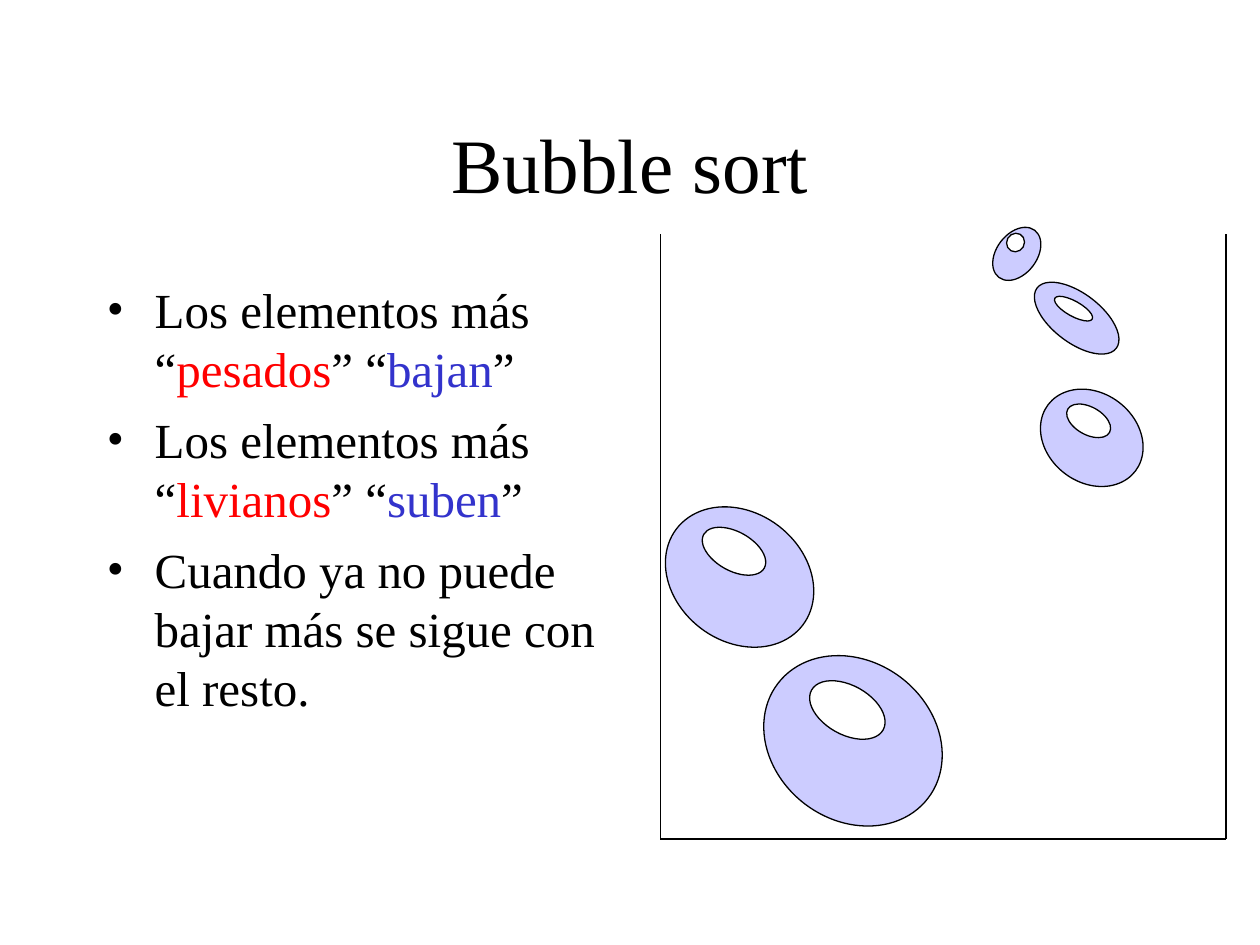
"""Build the Bubble sort slide with its bullets and a tank of bubbles."""
import pptx
import pptx.dml.color
import pptx.enum.shapes
import pptx.enum.text
import pptx.oxml
import pptx.util
from pptx.dml.color import RGBColor
from pptx.util import Inches

BLACK = RGBColor(0x00, 0x00, 0x00)
WHITE = RGBColor(0xFF, 0xFF, 0xFF)
RED = RGBColor(0xFF, 0x00, 0x00)
BLUE = RGBColor(0x33, 0x33, 0xCC)
LAVENDER = RGBColor(0xCC, 0xCC, 0xFF)
FONT = "Times New Roman"

TITLE = [[("Bubble sort", BLACK)]]
BULLETS = [
    [("Los elementos más “", BLACK), ("pesados", RED), ("” “", BLACK),
     ("bajan", BLUE), ("”", BLACK)],
    [("Los elementos más “", BLACK), ("livianos", RED), ("” “", BLACK),
     ("suben", BLUE), ("”", BLACK)],
    [("Cuando ya no puede bajar más se sigue con el resto.", BLACK)],
]
TITLE_BOX = (0.75, 0.67, 8.5, 1.25)
BULLET_BOX = (0.75, 2.17, 4.17, 4.5)
TANK_BOX = (5.24, 1.78, 4.49, 4.88)
TANK_CORNERS = [(5.24, 1.86), (5.24, 6.66), (9.73, 6.66), (9.73, 1.86)]
BUBBLES = [
    {"body": (5.24, 4.07, 1.26, 1.02), "shine": (5.55, 4.22, 0.55, 0.31)},
    {"body": (6.02, 5.25, 1.5, 1.26), "shine": (6.4, 5.44, 0.65, 0.39)},
    {"body": (8.15, 2.33, 0.79, 0.39), "shine": (8.35, 2.39, 0.34, 0.12)},
    {"body": (7.91, 1.78, 0.32, 0.47), "shine": (7.99, 1.85, 0.14, 0.15)},
    {"body": (8.23, 3.12, 0.87, 0.71), "shine": (8.45, 3.23, 0.38, 0.22)},
]
BUBBLE_STYLE = {"body": (LAVENDER, 37.3), "shine": (WHITE, 29.1)}


def inches(values):
    return [Inches(value) for value in values]


def add_bullet(paragraph):
    properties = paragraph._p.get_or_add_pPr()
    properties.set("marL", str(Inches(0.38)))
    properties.set("indent", str(-Inches(0.38)))
    namespace = pptx.oxml.ns.nsdecls("a")
    for xml in (f'<a:buClr {namespace}><a:srgbClr val="{BLACK}"/></a:buClr>',
                f'<a:buFont {namespace} typeface="{FONT}"/>',
                f'<a:buChar {namespace} char="•"/>'):
        properties.append(pptx.oxml.parse_xml(xml))


def write_text(shape, paragraphs, size, anchor, align, space_before=0, bullet=False):
    frame = shape.text_frame
    frame.word_wrap = True
    frame.auto_size = pptx.enum.text.MSO_AUTO_SIZE.NONE
    frame.vertical_anchor = anchor
    frame.margin_left = frame.margin_right = Inches(0.1)
    frame.margin_top = frame.margin_bottom = Inches(0.05)
    for index, runs in enumerate(paragraphs):
        paragraph = frame.add_paragraph() if index else frame.paragraphs[0]
        paragraph.alignment = align
        paragraph.line_spacing = 1.0
        paragraph.space_before = pptx.util.Pt(space_before)
        if bullet:
            add_bullet(paragraph)
        for text, color in runs:
            run = paragraph.add_run()
            run.text = text
            run.font.name = FONT
            run.font.size = pptx.util.Pt(size)
            run.font.color.rgb = color


def set_line(line):
    line.color.rgb = BLACK
    line.width = pptx.util.Pt(0.75)


def add_filled(shapes, kind, box, color, rotation=0, outlined=True):
    shape = shapes.add_shape(kind, *inches(box))
    shape.shadow.inherit = False
    shape.rotation = rotation
    shape.fill.solid()
    shape.fill.fore_color.rgb = color
    if outlined:
        set_line(shape.line)
    else:
        shape.line.fill.background()


def add_wall(shapes, start, end):
    wall = shapes.add_connector(pptx.enum.shapes.MSO_CONNECTOR.STRAIGHT,
                                *inches(start + end))
    set_line(wall.line)
    effects = f'<a:effectLst {pptx.oxml.ns.nsdecls("a")}/>'
    wall._element.spPr.append(pptx.oxml.parse_xml(effects))


def main():
    presentation = pptx.Presentation()
    presentation.slide_width, presentation.slide_height = inches((10, 7.5))
    slide = presentation.slides.add_slide(presentation.slide_layouts[5])
    shapes = slide.shapes
    kinds = pptx.enum.shapes.MSO_SHAPE
    anchors = pptx.enum.text.MSO_ANCHOR
    aligns = pptx.enum.text.PP_ALIGN

    title = shapes.title
    title.left, title.top, title.width, title.height = inches(TITLE_BOX)
    write_text(title, TITLE, size=44, anchor=anchors.MIDDLE, align=aligns.CENTER)
    bullets = shapes.add_textbox(*inches(BULLET_BOX))
    write_text(bullets, BULLETS, size=28, anchor=anchors.TOP, align=aligns.LEFT,
               space_before=7, bullet=True)

    tank = shapes.add_group_shape().shapes
    add_filled(tank, kinds.RECTANGLE, TANK_BOX, WHITE, outlined=False)
    for start, end in zip(TANK_CORNERS, TANK_CORNERS[1:]):
        add_wall(tank, start, end)
    for bubble in BUBBLES:
        for part, (color, rotation) in BUBBLE_STYLE.items():
            add_filled(tank, kinds.OVAL, bubble[part], color, rotation=rotation)

    presentation.save("out.pptx")


if __name__ == "__main__":
    main()
